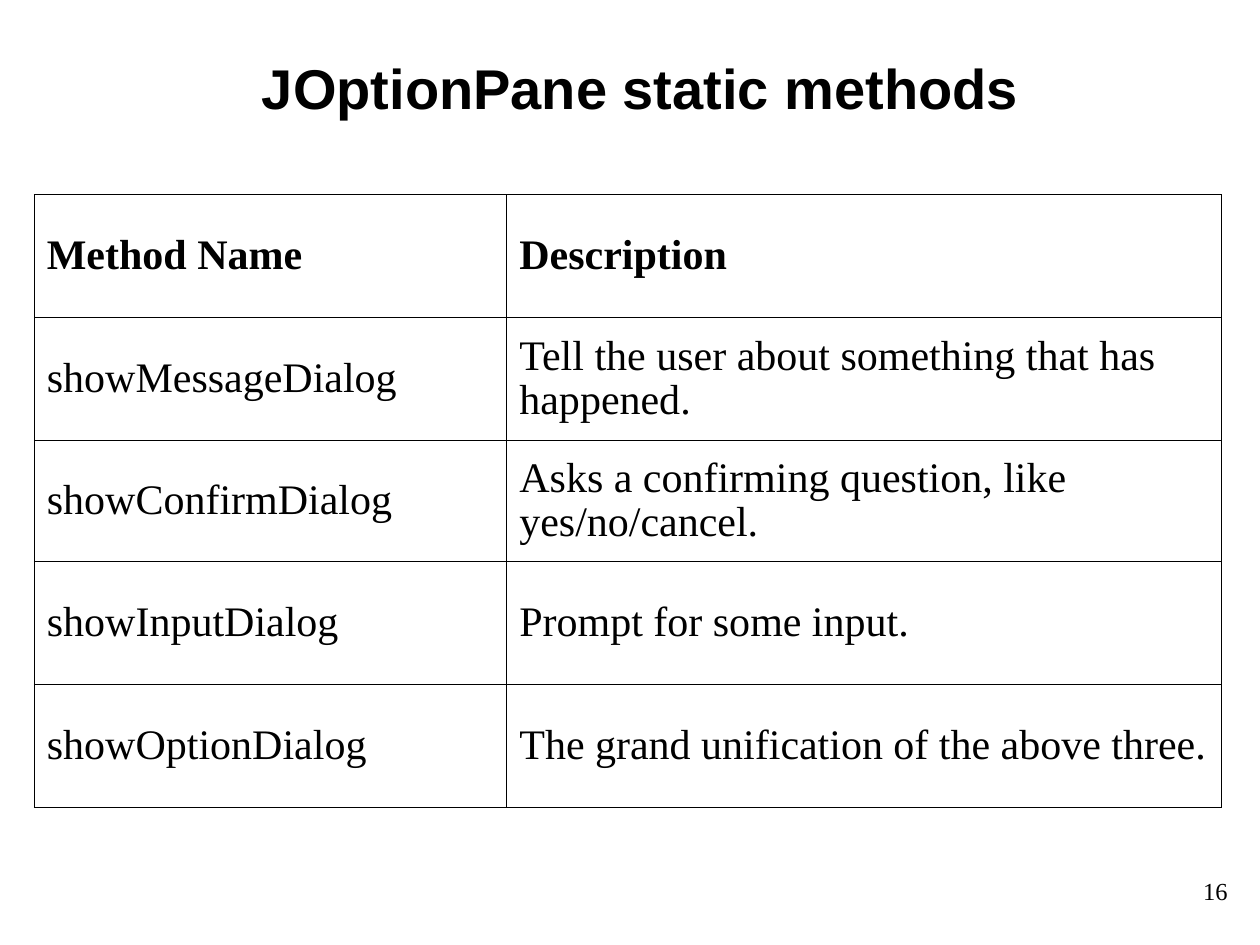
"""Build the slide that tabulates the JOptionPane static methods."""
import pptx
import pptx.dml.color
import pptx.enum.text
import pptx.oxml
import pptx.oxml.ns
import pptx.util

Pt = pptx.util.Pt
ALIGN = pptx.enum.text.PP_ALIGN
MIDDLE = pptx.enum.text.MSO_ANCHOR.MIDDLE

TITLE = "JOptionPane static methods"
PAGE_NUMBER = "16"
ROWS = [
    ("Method Name", "Description"),
    ("showMessageDialog", "Tell the user about something that has happened."),
    ("showConfirmDialog", "Asks a confirming question, like\nyes/no/cancel."),
    ("showInputDialog", "Prompt for some input."),
    ("showOptionDialog", "The grand unification of the above three."),
]
COLORS = {"ink": "000000", "paper": "FFFFFF"}
COLUMN_WIDTHS = [270, 408.5]
ROW_HEIGHTS = [70.3, 70.3, 69.2, 70.3, 70.3]
TABLE_LEFT, TABLE_TOP = 19.6, 111.2
BORDER_WIDTH = 0.45


def write(frame, text, size, font="Times New Roman", bold=False, align=ALIGN.LEFT):
    frame.text = text
    frame.word_wrap = True
    for para in frame.paragraphs:
        para.alignment = align
        para.font.name = font
        para.font.size = Pt(size)
        para.font.bold = bold
        para.font.color.rgb = pptx.dml.color.RGBColor.from_string(COLORS["ink"])


def add_borders(cell):
    properties = cell._tc.get_or_add_tcPr()
    for index, side in enumerate("LRTB"):
        line = pptx.oxml.parse_xml(
            f'<a:ln{side} {pptx.oxml.ns.nsdecls("a")} w="{Pt(BORDER_WIDTH)}">'
            f'<a:solidFill><a:srgbClr val="{COLORS["ink"]}"/></a:solidFill></a:ln{side}>'
        )
        properties.insert(index, line)


def add_title(page):
    title = page.shapes.title
    title.left, title.top, title.width, title.height = map(Pt, (60, 26, 612, 48))
    write(title.text_frame, TITLE, 32, "Arial", True, ALIGN.CENTER)
    title.text_frame.vertical_anchor = MIDDLE


def add_methods_table(page):
    table = page.shapes.add_table(
        len(ROWS), len(COLUMN_WIDTHS), Pt(TABLE_LEFT), Pt(TABLE_TOP),
        Pt(sum(COLUMN_WIDTHS)), Pt(sum(ROW_HEIGHTS)),
    ).table
    table.first_row = table.horz_banding = False
    for column, width in zip(table.columns, COLUMN_WIDTHS):
        column.width = Pt(width)
    for row_index, (texts, height) in enumerate(zip(ROWS, ROW_HEIGHTS)):
        row = table.rows[row_index]
        row.height = Pt(height)
        for cell, text in zip(row.cells, texts):
            write(cell.text_frame, text, 24, bold=row_index == 0)
            for para in cell.text_frame.paragraphs:
                para.line_spacing = 0.95
            cell.vertical_anchor = MIDDLE
            cell.fill.solid()
            cell.fill.fore_color.rgb = pptx.dml.color.RGBColor.from_string(COLORS["paper"])
            add_borders(cell)


def add_page_number(page):
    box = page.shapes.add_textbox(*map(Pt, (558.7, 491, 149.8, 36)))
    write(box.text_frame, PAGE_NUMBER, 14, align=ALIGN.RIGHT)
    box.text_frame.vertical_anchor = MIDDLE


def main():
    deck = pptx.Presentation()
    deck.slide_width, deck.slide_height = Pt(720), Pt(540)
    page = deck.slides.add_slide(deck.slide_layouts.get_by_name("Title Only"))
    add_page_number(page)
    add_title(page)
    add_methods_table(page)
    deck.save("out.pptx")


if __name__ == "__main__":
    main()
